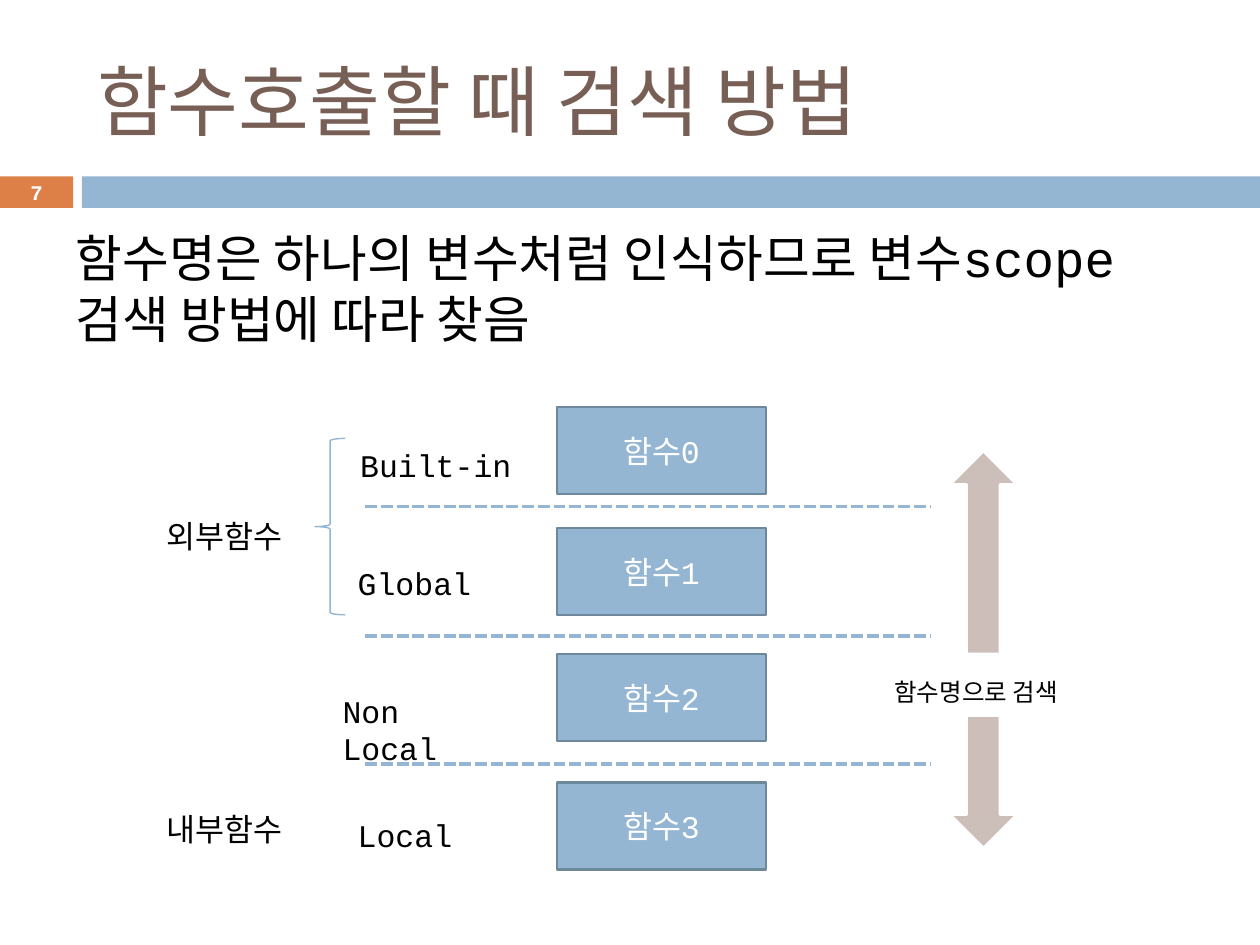
from pptx import Presentation
from pptx.dml.color import RGBColor
from pptx.enum.dml import MSO_LINE
from pptx.enum.shapes import MSO_CONNECTOR, MSO_SHAPE as Shape
from pptx.enum.text import MSO_ANCHOR as Anchor, MSO_AUTO_SIZE as AutoSize, PP_ALIGN as Align
from pptx.oxml.ns import qn
from pptx.util import Inches, Pt
from lxml.etree import SubElement

FONT = "Courier New"
BLACK = RGBColor(0x00, 0x00, 0x00)
WHITE = RGBColor(0xFF, 0xFF, 0xFF)
BROWN = RGBColor(0x77, 0x5F, 0x55)
ORANGE = RGBColor(0xDD, 0x80, 0x47)
BLUE = RGBColor(0x94, 0xB6, 0xD2)
DARK_BLUE = RGBColor(0x6D, 0x87, 0x9B)
TAUPE = RGBColor(0xCC, 0xBE, 0xB8)

FUNCTIONS = [("함수0", 3.23), ("함수1", 4.19), ("함수2", 5.19), ("함수3", 6.21)]
SCOPE_BORDERS = [4.02, 5.05, 6.06]
# text, left, top, width, size
LABELS = [
    ("Built-in", 2.76, 3.49, 1.52, 18),
    ("Global", 2.74, 4.43, 1.52, 18),
    ("Non Local", 2.62, 5.44, 1.52, 18),
    ("Local", 2.74, 6.43, 1.52, 18),
    ("외부함수", 1.22, 4.05, 1.28, 18),
    ("내부함수", 1.22, 6.38, 1.28, 18),
    ("함수명으로 검색", 7, 5.32, 1.86, 14),
]


def write_text(shape, text, size, color, anchor=Anchor.TOP, align=Align.LEFT, bold=False):
    frame = shape.text_frame
    frame_format = {"word_wrap": True, "auto_size": AutoSize.NONE, "vertical_anchor": anchor}
    for name, value in frame_format.items():
        setattr(frame, name, value)
    frame.text = text
    paragraph = frame.paragraphs[0]
    paragraph.alignment = align
    paragraph.space_before = Pt(0)
    run = paragraph.runs[0]
    for name, value in {"name": FONT, "size": Pt(size), "bold": bold}.items():
        setattr(run.font, name, value)
    run.font.color.rgb = color
    return paragraph


def place(shape, left, top, width, height):
    for name, value in {"left": left, "top": top, "width": width, "height": height}.items():
        setattr(shape, name, Inches(value))


def add_figure(slide, preset, box, fill=None, line=None, line_width=1.5):
    figure = slide.shapes.add_shape(preset, *map(Inches, box))
    figure.shadow.inherit = False
    if fill is None:
        figure.fill.background()
    else:
        figure.fill.solid()
        figure.fill.fore_color.rgb = fill
    if line is None:
        figure.line.fill.background()
    else:
        figure.line.color.rgb = line
        figure.line.width = Pt(line_width)
    return figure


def add_label(slide, text, left, top, width, size):
    label = slide.shapes.add_textbox(*map(Inches, (left, top, width, 0.35)))
    write_text(label, text, size, BLACK)


def add_scope_border(slide, y):
    border = slide.shapes.add_connector(
        MSO_CONNECTOR.STRAIGHT, Inches(2.9), Inches(y), Inches(7.38), Inches(y))
    border.line.color.rgb = BLUE
    border.line.width = Pt(2.25)
    border.line.dash_style = MSO_LINE.SQUARE_DOT
    SubElement(border._element.spPr, qn("a:effectLst"))


def add_header(slide):
    number = add_figure(slide, Shape.RECTANGLE, (0, 1.4, 0.58, 0.25), ORANGE)
    for side in ("top", "bottom"):
        setattr(number.text_frame, f"margin_{side}", 0)
    write_text(number, "7", 11.9, WHITE, Anchor.MIDDLE, Align.CENTER, bold=True)
    add_figure(slide, Shape.RECTANGLE, (0.65, 1.4, 9.35, 0.25), BLUE)
    title = slide.shapes.title
    place(title, 0.67, 0.25, 8.92, 1.08)
    write_text(title, "함수호출할 때 검색 방법", 44, BROWN, Anchor.MIDDLE)


def add_body(slide):
    body = slide.placeholders[1]
    place(body, 0.5, 1.75, 9, 1.37)
    paragraph = write_text(
        body, "함수명은 하나의 변수처럼 인식하므로 변수scope 검색 방법에 따라 찾음", 29, BLACK)
    properties = paragraph._p.get_or_add_pPr()
    properties.set("marL", "0")
    properties.set("indent", "0")
    SubElement(properties, qn("a:buNone"))


def add_scope_diagram(slide):
    add_figure(slide, Shape.UP_ARROW, (7.54, 3.58, 0.53, 1.61), TAUPE, WHITE)
    add_figure(slide, Shape.DOWN_ARROW, (7.54, 5.68, 0.53, 1.05), TAUPE, WHITE)
    for name, top in FUNCTIONS:
        box = add_figure(slide, Shape.RECTANGLE, (4.42, top, 1.66, 0.69), BLUE, DARK_BLUE)
        write_text(box, name, 18, WHITE, Anchor.MIDDLE, Align.CENTER)
    for y in SCOPE_BORDERS:
        add_scope_border(slide, y)
    add_figure(slide, Shape.LEFT_BRACE, (2.5, 3.48, 0.24, 1.4), line=BLUE, line_width=0.79)
    for label in LABELS:
        add_label(slide, *label)


def main():
    presentation = Presentation()
    presentation.slide_width = Inches(10)
    presentation.slide_height = Inches(7.5)
    slide = presentation.slides.add_slide(presentation.slide_layouts[1])
    add_header(slide)
    add_body(slide)
    add_scope_diagram(slide)
    presentation.save("out.pptx")


if __name__ == "__main__":
    main()
